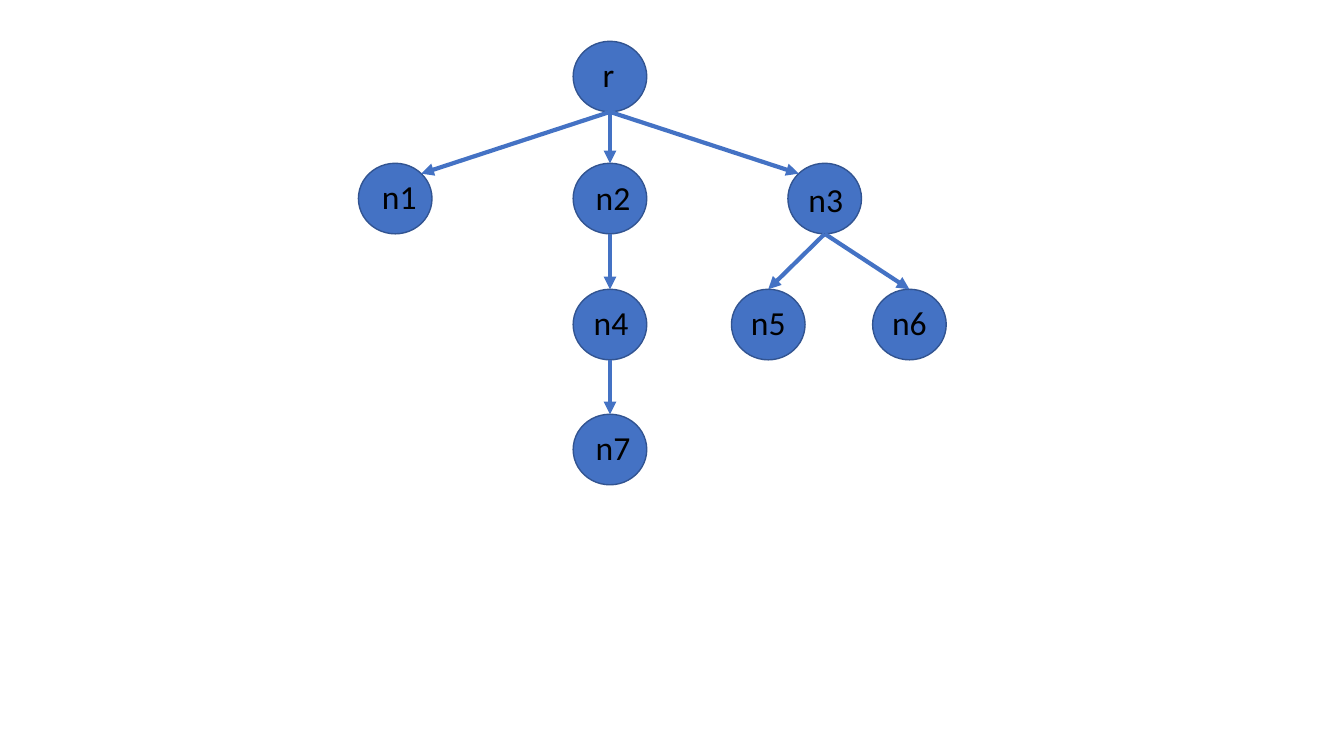
"""Build a slide showing a rooted tree of eight nodes."""
from math import cos, radians, sin

from lxml import etree
from pptx import Presentation
from pptx.dml.color import RGBColor
from pptx.enum.shapes import MSO_CONNECTOR, MSO_SHAPE
from pptx.enum.text import MSO_AUTO_SIZE
from pptx.oxml.ns import qn
from pptx.util import Inches, Pt

STRAIGHT = MSO_CONNECTOR.STRAIGHT
CIRCLE = MSO_SHAPE.FLOWCHART_CONNECTOR
FIT_SHAPE = MSO_AUTO_SIZE.SHAPE_TO_FIT_TEXT

BLUE = RGBColor(0x44, 0x72, 0xC4)
DARK_BLUE = RGBColor(0x32, 0x54, 0x91)
BLACK = RGBColor(0, 0, 0)

NODE_W, NODE_H = 0.73, 0.7
LABEL_H = 0.5
LEVEL_TOPS = [0.41, 1.62, 2.87, 4.11]

# name: (centre x, level, label offset from centre x and node top, label width)
NODES = {
    "r": (6.05, 0, -0.17, 0.08, 0.33),
    "n1": (3.92, 1, -0.23, 0.08, 0.73),
    "n2": (6.05, 1, -0.24, 0.09, 0.73),
    "n3": (8.18, 1, -0.26, 0.11, 0.73),
    "n4": (6.05, 2, -0.26, 0.08, 0.73),
    "n5": (7.62, 2, -0.27, 0.08, 0.73),
    "n6": (9.02, 2, -0.27, 0.08, 0.73),
    "n7": (6.05, 3, -0.24, 0.08, 0.73),
}
TOP_LEFT, TOP, TOP_RIGHT, BOTTOM = 135, 90, 45, 270
EDGES = [
    ("r", "n1", TOP_RIGHT), ("r", "n2", TOP), ("r", "n3", TOP_LEFT),
    ("n2", "n4", TOP), ("n3", "n5", TOP), ("n3", "n6", TOP), ("n4", "n7", TOP),
]


def rim_point(name, angle):
    x, level = NODES[name][:2]
    y = LEVEL_TOPS[level] + NODE_H / 2
    return (Inches(x + NODE_W / 2 * cos(radians(angle))),
            Inches(y - NODE_H / 2 * sin(radians(angle))))


def add_node(shapes, x, top):
    sp = shapes.add_shape(CIRCLE, Inches(x - NODE_W / 2), Inches(top),
                          Inches(NODE_W), Inches(NODE_H))
    sp.shadow.inherit = False
    sp.fill.solid()
    sp.fill.fore_color.rgb = BLUE
    sp.line.color.rgb = DARK_BLUE
    sp.line.width = Pt(1)


def add_arrow(shapes, parent, child, angle):
    cxn = shapes.add_connector(STRAIGHT, *rim_point(parent, BOTTOM),
                               *rim_point(child, angle))
    cxn.line.color.rgb = BLUE
    cxn.line.width = Pt(3)
    etree.SubElement(cxn.line._get_or_add_ln(), qn("a:tailEnd"), type="triangle")
    etree.SubElement(cxn._element.spPr, qn("a:effectLst"))


def add_label(shapes, text, left, top, width):
    tf = shapes.add_textbox(Inches(left), Inches(top),
                            Inches(width), Inches(LABEL_H)).text_frame
    tf.word_wrap = True
    tf.auto_size = FIT_SHAPE
    r = tf.paragraphs[0].add_run()
    r.text = text
    r.font.name = "Calibri"
    r.font.size = Pt(24)
    r.font.color.rgb = BLACK


prs = Presentation()
prs.slide_width, prs.slide_height = Inches(13.33), Inches(7.5)
shapes = prs.slides.add_slide(prs.slide_layouts[6]).shapes

for x, level, *_ in NODES.values():
    add_node(shapes, x, LEVEL_TOPS[level])
for edge in EDGES:
    add_arrow(shapes, *edge)
for name, (x, level, dx, dy, width) in NODES.items():
    add_label(shapes, name, x + dx, LEVEL_TOPS[level] + dy, width)

prs.save("out.pptx")
